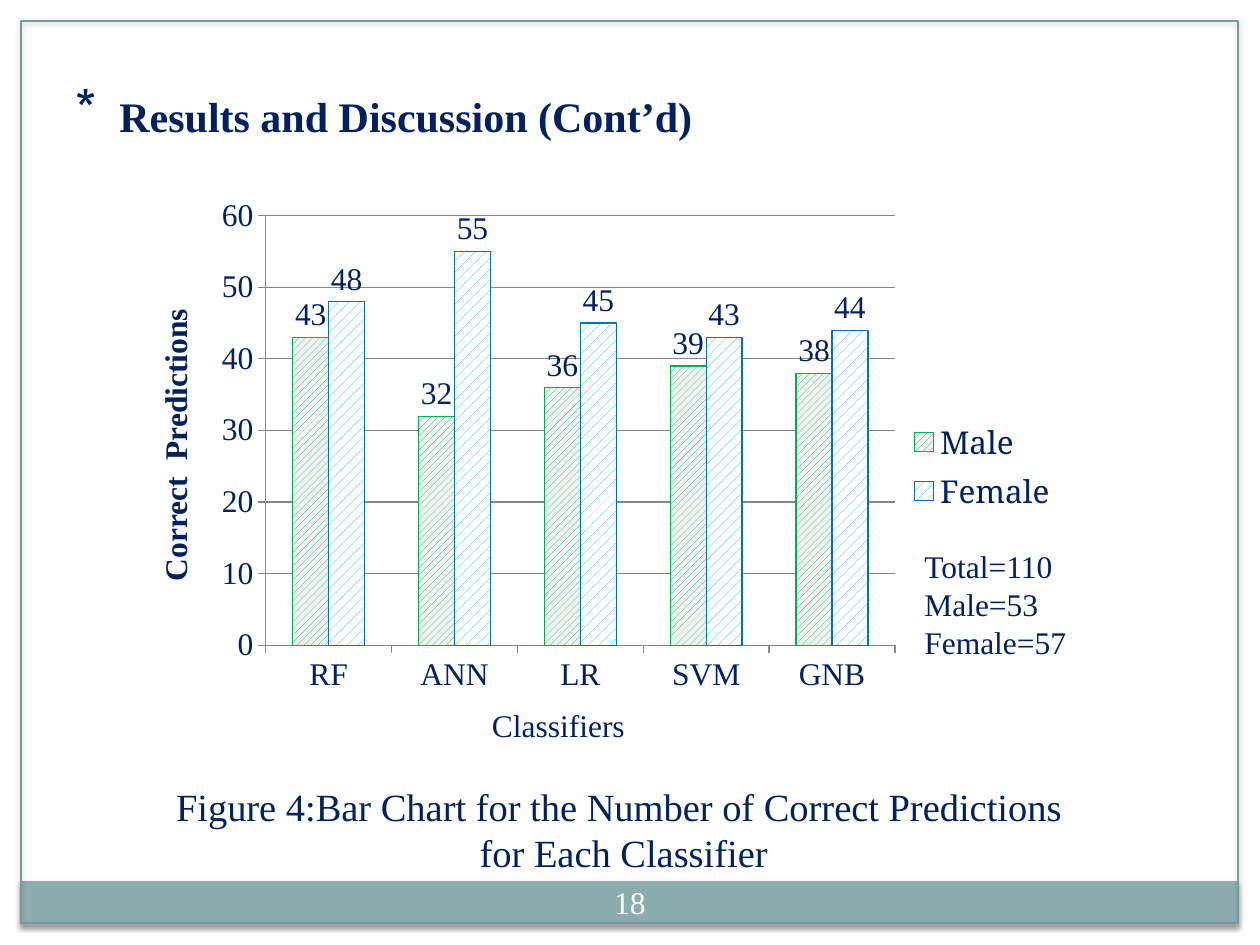
"""Build the slide comparing correct predictions per classifier for male and female."""
from dataclasses import dataclass
from lxml.etree import SubElement
from pptx import Presentation
from pptx.chart.data import CategoryChartData
from pptx.dml.color import RGBColor
from pptx.enum.chart import XL_CHART_TYPE as ChartType, XL_LABEL_POSITION as LabelPosition
from pptx.enum.chart import XL_LEGEND_POSITION as LegendPosition, XL_TICK_MARK as TickMark
from pptx.enum.dml import MSO_PATTERN as Pattern
from pptx.enum.shapes import MSO_SHAPE as Preset
from pptx.enum.text import MSO_ANCHOR as Anchor, PP_ALIGN as Align
from pptx.oxml import parse_xml
from pptx.oxml.ns import nsdecls, qn
from pptx.util import Emu, Pt


@dataclass(frozen=True)
class Theme:
    navy: RGBColor = RGBColor.from_string("002060")
    white: RGBColor = RGBColor.from_string("FFFFFF")
    band: RGBColor = RGBColor.from_string("8CADAE")
    frame: RGBColor = RGBColor.from_string("7C999A")
    grid: RGBColor = RGBColor.from_string("868686")
    serif: str = "Times New Roman"
    legend: str = "Noto Serif"
    title: int = 24
    caption: int = 22
    body: int = 18


theme = Theme()
SCALE = 914400 / 126


def px(*lengths):
    return [Emu(round(length * SCALE)) for length in lengths]


def style(font, size=theme.body, color=theme.navy, name=theme.serif, bold=False):
    font.size, font.name, font.bold = Pt(size), name, bold
    font.color.rgb = color


deck = Presentation()
deck.slide_width, deck.slide_height = px(1260, 945)
page = deck.slides.add_slide(deck.slide_layouts[6])

band = page.shapes.add_shape(Preset.RECTANGLE, *px(20, 881, 1217, 43))
band.fill.solid()
band.fill.fore_color.rgb = theme.band
band.line.fill.background()
frame = page.shapes.add_shape(Preset.RECTANGLE, *px(21, 21, 1217, 902))
frame.fill.background()
frame.line.color.rgb = theme.frame
frame.line.width = Pt(0.75)

results = CategoryChartData()
results.categories = ["RF", "ANN", "LR", "SVM", "GNB"]
results.add_series("Male", [43, 32, 36, 39, 38])
results.add_series("Female", [48, 55, 45, 43, 44])
chart = page.shapes.add_chart(
    ChartType.COLUMN_CLUSTERED, *px(132, 179, 939, 575), results).chart
style(chart.font, name=theme.legend)
chart.has_title = False
chart.has_legend = True
chart.legend.position = LegendPosition.RIGHT
chart.legend.include_in_layout = False
style(chart.legend.font, name=theme.legend)

plot = chart.plots[0]
plot.gap_width = 150
plot.overlap = 0
plot.vary_by_categories = False
patterns = [
    (Pattern.WIDE_UPWARD_DIAGONAL, "00B050", "F2F2F2", "00B050"),
    (Pattern.PERCENT_20, "00B0F0", "FFFFFF", "0070C0"),
]
for series, (pattern, front, back, edge) in zip(plot.series, patterns):
    fill = series.format.fill
    fill.patterned()
    fill.pattern = pattern
    fill.fore_color.rgb = RGBColor.from_string(front)
    fill.back_color.rgb = RGBColor.from_string(back)
    series.format.line.color.rgb = RGBColor.from_string(edge)
    series.format.line.width = Pt(0.75)
    series.invert_if_negative = False
    labels = series.data_labels
    labels.show_value = True
    labels.position = LabelPosition.OUTSIDE_END
    style(labels.font)

value_axis, category_axis = chart.value_axis, chart.category_axis
for axis, title, bold in [(category_axis, "Classifiers", False),
                          (value_axis, "Correct  Predictions", True)]:
    axis.major_tick_mark = TickMark.OUTSIDE
    axis.minor_tick_mark = TickMark.NONE
    axis.format.line.color.rgb = theme.grid
    style(axis.tick_labels.font)
    span = axis.axis_title.text_frame.paragraphs[0].add_run()
    span.text = title
    style(span.font, bold=bold)
value_axis.minimum_scale, value_axis.maximum_scale, value_axis.major_unit = 0, 60, 10
value_axis.has_major_gridlines = True
value_axis.major_gridlines.format.line.color.rgb = theme.grid

area = chart._chartSpace.chart.plotArea
for layout in area.findall(qn("c:layout")):
    area.remove(layout)
layout = parse_xml(f"<c:layout {nsdecls('c')}><c:manualLayout/></c:layout>")
for key, value in [("layoutTarget", "inner"), ("xMode", "edge"), ("yMode", "edge"),
                   ("x", 0.142), ("y", 0.063), ("w", 0.671), ("h", 0.749)]:
    SubElement(layout[0], qn(f"c:{key}")).set("val", str(value))
area.insert(0, layout)
white = f'<a:solidFill><a:srgbClr val="{theme.white}"/></a:solidFill>'
area.append(parse_xml(f"<c:spPr {nsdecls('c', 'a')}>{white}</c:spPr>"))
chart._chartSpace.chart.addnext(parse_xml(
    f'<c:spPr {nsdecls("c", "a")}><a:noFill/><a:ln w="9525">{white}</a:ln></c:spPr>'))

texts = [
    ((588, 872, 84, 60), ["18"], theme.body, theme.white, False, Align.CENTER, True),
    ((63, 84, 649, 63), ["Results and Discussion (Cont’d)"],
     theme.title, theme.navy, True, Align.LEFT, False),
    ((159, 777, 920, 106),
     ["Figure 4:Bar Chart for the Number of Correct Predictions", " for Each Classifier"],
     theme.caption, theme.navy, False, Align.CENTER, False),
    ((912, 541, 199, 127), ["Total=110", "Male=53", "Female=57"],
     theme.body, theme.navy, False, Align.LEFT, True),
]
boxes = []
for place, lines, size, color, bold, align, wrap in texts:
    box = page.shapes.add_textbox(*px(*place))
    box.text_frame.word_wrap = wrap
    for index, line in enumerate(lines):
        para = box.text_frame.add_paragraph() if index else box.text_frame.paragraphs[0]
        para.alignment = align
        span = para.add_run()
        span.text = line
        style(span.font, size, color, bold=bold)
    boxes.append(box)

number, heading, caption, totals = boxes
number.text_frame.vertical_anchor = Anchor.MIDDLE
for side in ("left", "top", "right", "bottom"):
    setattr(number.text_frame, f"margin_{side}", px(6)[0])
totals.fill.solid()
totals.fill.fore_color.rgb = theme.white

bullet = heading.text_frame.paragraphs[0]._p.get_or_add_pPr()
indent = px(44)[0]
bullet.set("marL", str(indent))
bullet.set("indent", str(-indent))
SubElement(SubElement(bullet, qn("a:buClr")), qn("a:srgbClr")).set("val", str(theme.navy))
SubElement(bullet, qn("a:buSzPct")).set("val", "128000")
SubElement(bullet, qn("a:buChar")).set("char", "*")

deck.save("out.pptx")
